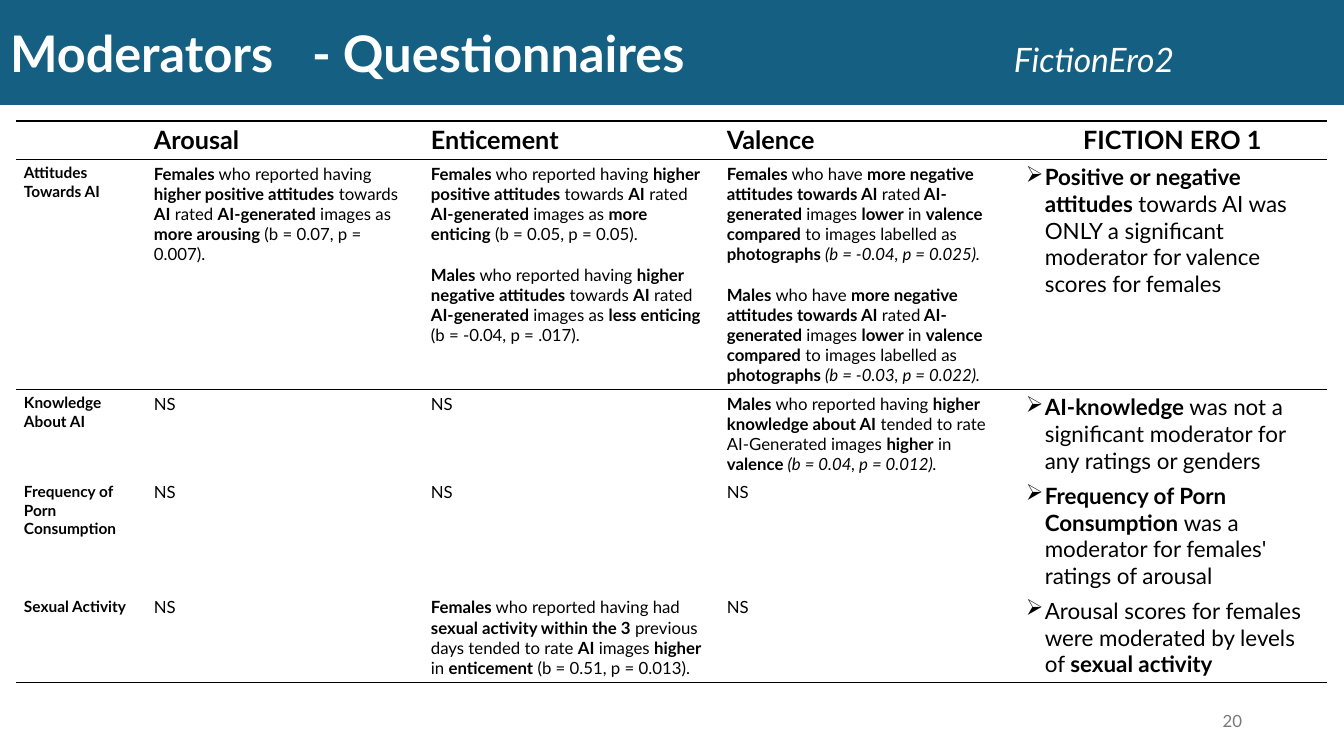
from dataclasses import dataclass

from pptx import Presentation
from pptx.dml.color import RGBColor
from pptx.enum.shapes import MSO_SHAPE as Shape
from pptx.enum.text import MSO_ANCHOR as Anchor, PP_ALIGN as Align
from pptx.oxml.ns import qn
from pptx.oxml.xmlchemy import OxmlElement as Element
from pptx.util import Pt

PX = 9071.43  # EMU per px
NO_TABLE_STYLE = "{2D5ABB26-0587-4C30-8999-92F81FD0307C}"


@dataclass(frozen=True)
class Theme:
    font: str = "Lato"
    banner: str = "156082"
    ink: str = "000000"
    light: str = "FFFFFF"
    muted: str = "797979"
    title: int = 36
    study: int = 24
    heading: int = 18
    takeaway: int = 16
    body: int = 12
    label: int = 11


THEME = Theme()
COLUMN_WIDTHS = [130, 277, 296, 299, 309]
ROW_HEIGHTS = [38, 230, 88, 114, 89]
HEADINGS = ["", "Arousal", "Enticement", "Valence", "FICTION ERO 1"]

# *...* is bold, a piece that starts with _ is italic
VALENCE_FINDING = ("*{}* who have *more negative attitudes towards AI *rated* AI-generated "
                   "*images *lower* in *valence compared* to images labelled as "
                   "*photographs *_(b = {}, p = {}).")
FINDINGS = [
    ["*Attitudes Towards AI*",
     "*Females* who reported having *higher positive attitudes* towards *AI* rated "
     "*AI-generated* images as *more arousing *(b = 0.07, p = 0.007).",
     "*Females* who reported having *higher positive attitudes* towards *AI* rated "
     "*AI-generated* images as *more enticing* (b = 0.05, p = 0.05).\n"
     "*Males* who reported having *higher negative attitudes* towards *AI* rated "
     "*AI-generated* images as *less enticing* (b = -0.04, p = .017).",
     VALENCE_FINDING.format("Females", "-0.04", "0.025") + "\n"
     + VALENCE_FINDING.format("Males", "-0.03", "0.022"),
     "*Positive or negative attitudes *towards AI was ONLY a significant moderator "
     "for valence scores for females"],
    ["*Knowledge About AI*", "NS", "NS",
     "*Males* who reported having *higher knowledge about AI* tended to rate "
     "AI-Generated images *higher* in *valence *_(b = 0.04, p = 0.012).",
     "*AI-knowledge* was not a significant moderator for any ratings or genders"],
    ["*Frequency of Porn Consumption*", "NS", "NS", "NS",
     "*Frequency of Porn Consumption *was a moderator for females' ratings of arousal"],
    ["*Sexual Activity*", "NS",
     "*Females* who reported having had *sexual activity within the 3 *previous days "
     "tended to rate *AI* images *higher* in *enticement* (b = 0.51, p = 0.013).",
     "NS",
     "Arousal scores for females were moderated by levels of *sexual activity*"],
]


def px(length):
    return round(length * PX)


def px_box(box):
    return [px(length) for length in box]


def style(run, size, color, bold=False, italic=False):
    font = run.font
    font.name, font.size, font.bold, font.italic = THEME.font, Pt(size), bold, italic
    font.color.rgb = RGBColor.from_string(color)


def add_marked_text(paragraph, marked, size):
    """Turn * and _ marks into bold and italic runs."""
    for position, piece in enumerate(marked.split("*")):
        if piece:
            run = paragraph.add_run()
            run.text = piece.removeprefix("_")
            style(run, size, THEME.ink, bold=position % 2 == 1, italic=piece.startswith("_"))


def add_arrow_bullet(paragraph, indent):
    properties = paragraph._p.get_or_add_pPr()
    properties.set("marL", str(px(indent)))
    properties.set("indent", str(-px(indent)))
    bullet = Element("a:buChar")
    bullet.set("char", "➢")
    properties.append(bullet)


def add_tab_stops(paragraph, positions):
    stops = Element("a:tabLst")
    for position in positions:
        stop = Element("a:tab")
        stop.set("pos", str(px(position)))
        stop.set("algn", "l")
        stops.append(stop)
    paragraph._p.get_or_add_pPr().append(stops)


def set_rules(cell, sides):
    """Draw thin lines on the given sides, "T" or "B"."""
    for order, side in enumerate(sides):
        line, fill, color = Element(f"a:ln{side}"), Element("a:solidFill"), Element("a:srgbClr")
        line.set("w", str(Pt(1)))
        color.set("val", THEME.ink)
        fill.append(color)
        line.append(fill)
        cell._tc.get_or_add_tcPr().insert(order, line)


def fill_cell(cell, marked, size):
    cell.fill.background()
    cell.margin_left = cell.margin_right = px(8)
    cell.margin_top = cell.margin_bottom = px(4)
    frame = cell.text_frame
    for position, part in enumerate(marked.split("\n")):
        paragraph = frame.add_paragraph() if position else frame.paragraphs[0]
        if position:
            paragraph.space_before = Pt(14.4)
        add_marked_text(paragraph, part, size)


def add_findings_table(slide, left, top):
    box = px_box((left, top, sum(COLUMN_WIDTHS), sum(ROW_HEIGHTS)))
    table = slide.shapes.add_table(len(ROW_HEIGHTS), len(COLUMN_WIDTHS), *box).table
    table.horz_banding = False
    table._tbl.tblPr.find(qn("a:tableStyleId")).text = NO_TABLE_STYLE
    for column, width in zip(table.columns, COLUMN_WIDTHS):
        column.width = px(width)
    for row, height in zip(table.rows, ROW_HEIGHTS):
        row.height = px(height)

    last_row, last_column = len(ROW_HEIGHTS) - 1, len(COLUMN_WIDTHS) - 1
    rules = {0: "TB", 1: "T", last_row: "B"}
    sizes = [THEME.label] + [THEME.body] * 3 + [THEME.takeaway]
    headings = [f"*{heading}*" for heading in HEADINGS]
    for r, texts in enumerate([headings] + FINDINGS):
        for c, marked in enumerate(texts):
            cell = table.cell(r, c)
            fill_cell(cell, marked, sizes[c] if r else THEME.heading)
            set_rules(cell, rules.get(r, ""))
            if r and c == last_column:
                add_arrow_bullet(cell.text_frame.paragraphs[0], 19)
    table.cell(0, last_column).text_frame.paragraphs[0].alignment = Align.CENTER


def add_banner(slide, box):
    banner = slide.shapes.add_shape(Shape.RECTANGLE, *px_box(box))
    banner.shadow.inherit = False
    banner.fill.solid()
    banner.fill.fore_color.rgb = RGBColor.from_string(THEME.banner)
    banner.line.fill.background()
    frame = banner.text_frame
    frame.vertical_anchor = Anchor.MIDDLE
    frame.margin_left = px(10)
    heading = frame.paragraphs[0]
    heading.alignment = Align.LEFT
    add_tab_stops(heading, [302, 1004])
    heading.text = "Moderators\t- Questionnaires\t"
    style(heading.runs[0], THEME.title, THEME.light, bold=True)
    study = heading.add_run()
    study.text = "FictionEro2"
    style(study, THEME.study, THEME.light, italic=True)


def add_page_number(slide, box):
    frame = slide.shapes.add_textbox(*px_box(box)).text_frame
    frame.word_wrap = True
    frame.vertical_anchor = Anchor.MIDDLE
    frame.text = "20"
    number = frame.paragraphs[0]
    number.alignment = Align.RIGHT
    style(number.runs[0], THEME.body, THEME.muted)


def main():
    deck = Presentation()
    deck.slide_width, deck.slide_height = px(1344), px(756)
    slide = deck.slides.add_slide(deck.slide_layouts[6])
    add_findings_table(slide, 16, 121)
    add_page_number(slide, (950, 701, 302, 40))
    add_banner(slide, (0, 0, 1344, 105))
    deck.save("out.pptx")


if __name__ == "__main__":
    main()
